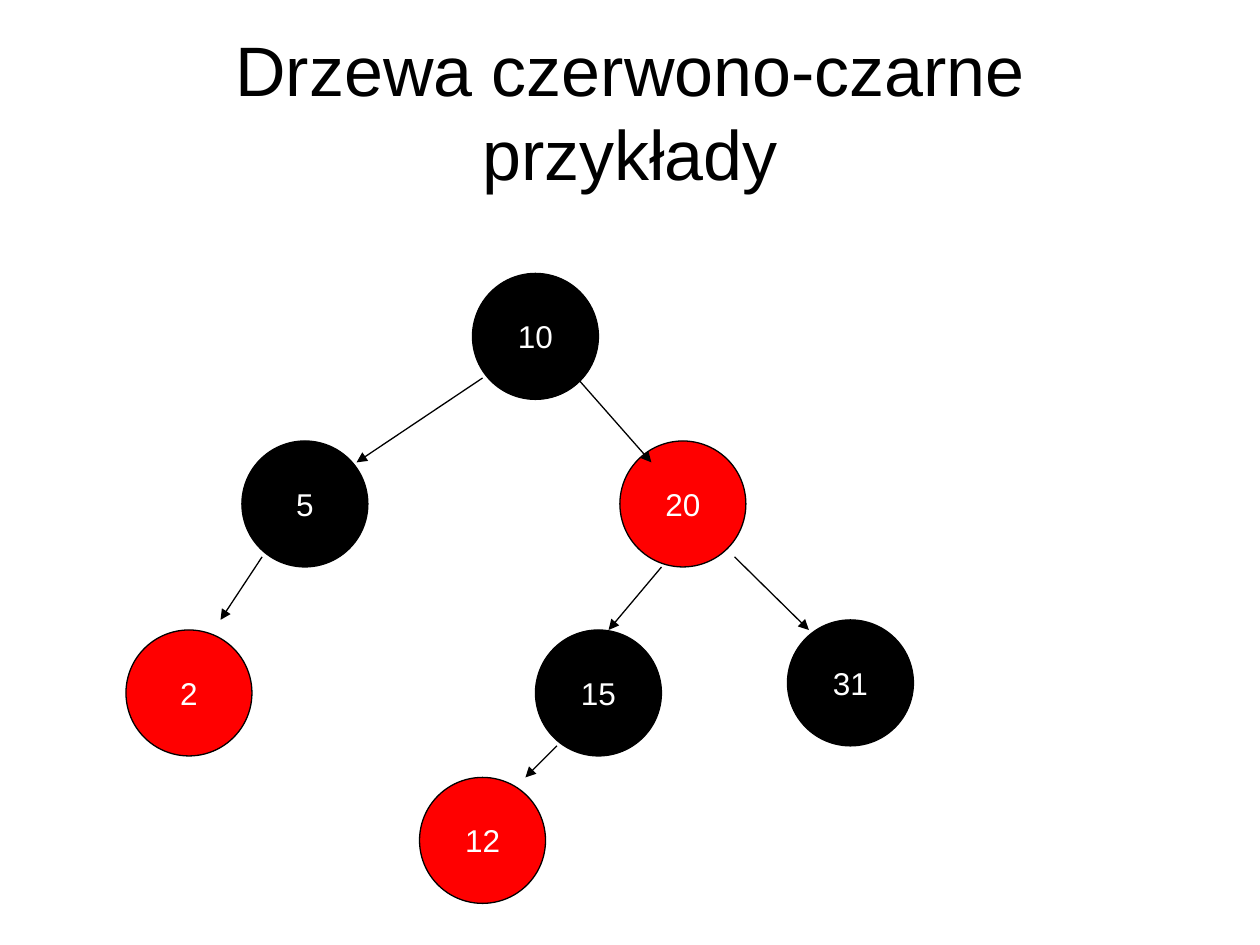
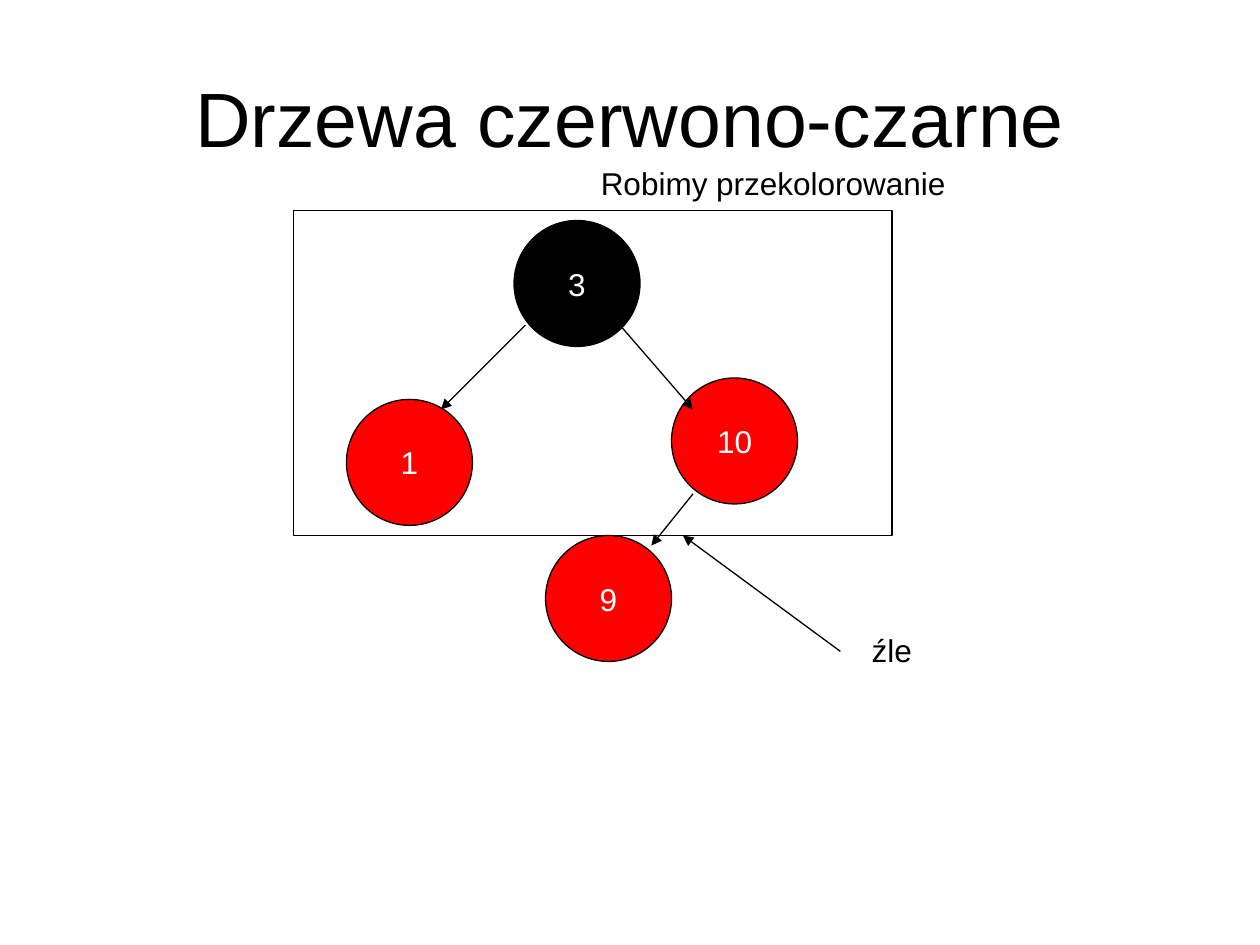
from lxml import etree
from pptx import Presentation
from pptx.dml.color import RGBColor
from pptx.enum import shapes, text
from pptx.oxml import ns
from pptx.util import Inches, Pt

FONT = "Arial"
BLACK, RED, WHITE = "000000", "FF0000", "FFFFFF"
LINE_WIDTH = 0.75
NODE_SIZE = 1
TITLE_ONLY = 5


def color(hex_value):
    return RGBColor.from_string(hex_value)


def write(frame, content, size=18, fill=BLACK, align=text.PP_ALIGN.LEFT,
          anchor=text.MSO_ANCHOR.TOP, wrap=False):
    frame.word_wrap = wrap
    frame.auto_size = text.MSO_AUTO_SIZE.NONE
    frame.vertical_anchor = anchor
    frame.text = content
    paragraph = frame.paragraphs[0]
    paragraph.alignment = align
    for run in paragraph.runs:
        run.font.name = FONT
        run.font.size = Pt(size)
        run.font.color.rgb = color(fill)


def add_title(slide, content, top, size):
    title = slide.shapes.title
    title.left, title.top = Inches(0.5), Inches(top)
    title.width, title.height = Inches(9), Inches(1.25)
    write(title.text_frame, content, size, align=text.PP_ALIGN.CENTER,
          anchor=text.MSO_ANCHOR.MIDDLE, wrap=True)


def add_outlined(slide, kind, left, top, width, height, fill=None):
    shape = slide.shapes.add_shape(kind, Inches(left), Inches(top),
                                   Inches(width), Inches(height))
    shape.shadow.inherit = False
    shape.line.color.rgb = color(BLACK)
    shape.line.width = Pt(LINE_WIDTH)
    if fill:
        shape.fill.solid()
        shape.fill.fore_color.rgb = color(fill)
    else:
        shape.fill.background()
    return shape


def add_node(slide, key, left, top, fill):
    node = add_outlined(slide, shapes.MSO_SHAPE.OVAL, left, top,
                        NODE_SIZE, NODE_SIZE, fill)
    write(node.text_frame, str(key), fill=WHITE, align=text.PP_ALIGN.CENTER,
          anchor=text.MSO_ANCHOR.MIDDLE)


def add_arrow(slide, start, end):
    arrow = slide.shapes.add_connector(
        shapes.MSO_CONNECTOR.STRAIGHT, *map(Inches, (*start, *end)))
    arrow.line.color.rgb = color(BLACK)
    arrow.line.width = Pt(LINE_WIDTH)
    etree.SubElement(arrow.line._get_or_add_ln(), ns.qn("a:tailEnd"), type="triangle")
    etree.SubElement(arrow._element.spPr, ns.qn("a:effectLst"))


def add_label(slide, content, left, top, width):
    box = slide.shapes.add_textbox(Inches(left), Inches(top), Inches(width), Inches(0.4))
    write(box.text_frame, content)


def add_tree(slide, left, top, nodes, arrows):
    """Place nodes and arrows given as offsets from the tree's left top corner."""
    for key, x, y, fill in nodes:
        add_node(slide, key, left + x, top + y, fill)
    for start, end in arrows:
        add_arrow(slide, *((left + x, top + y) for x, y in (start, end)))


def add_slide(presentation, title, title_top, title_size):
    slide = presentation.slides.add_slide(presentation.slide_layouts[TITLE_ONLY])
    add_title(slide, title, title_top, title_size)
    return slide


def build_examples(presentation):
    slide = add_slide(presentation, "Drzewa czerwono-czarne\vprzykłady", 0.25, 40)
    nodes = [
        (10, 2.75, 0, BLACK),
        (5, 0.92, 1.33, BLACK),
        (20, 3.92, 1.33, RED),
        (2, 0, 2.83, RED),
        (15, 3.25, 2.83, BLACK),
        (31, 5.25, 2.75, BLACK),
        (12, 2.33, 4, RED),
    ]
    arrows = [
        ((2.83, 0.83), (1.83, 1.5)),
        ((3.58, 0.83), (4.17, 1.5)),
        ((1.08, 2.25), (0.75, 2.75)),
        ((4.25, 2.33), (3.83, 2.83)),
        ((4.83, 2.25), (5.42, 2.83)),
        ((3.42, 3.75), (3.17, 4)),
    ]
    add_tree(slide, 1, 2.17, nodes, arrows)


def build_recoloring(presentation):
    slide = add_slide(presentation, "Drzewa czerwono-czarne", 0.3, 44)
    nodes = [
        (3, 1.33, 0, BLACK),
        (1, 0, 1.42, RED),
        (10, 2.58, 1.25, RED),
        (9, 1.58, 2.5, RED),
    ]
    arrows = [
        ((1.42, 0.83), (0.75, 1.5)),
        ((2.17, 0.83), (2.75, 1.5)),
        ((2.75, 2.17), (2.42, 2.58)),
    ]
    add_tree(slide, 2.75, 1.75, nodes, arrows)
    add_arrow(slide, (6.67, 5.17), (5.42, 4.25))
    add_label(slide, "źle", 6.82, 4.96, 0.52)
    add_outlined(slide, shapes.MSO_SHAPE.RECTANGLE, 2.33, 1.67, 4.75, 2.58)
    add_label(slide, "Robimy przekolorowanie", 4.67, 1.25, 2.94)


def main():
    presentation = Presentation()
    presentation.slide_width, presentation.slide_height = Inches(10), Inches(7.5)
    build_examples(presentation)
    build_recoloring(presentation)
    presentation.save("out.pptx")


if __name__ == "__main__":
    main()
